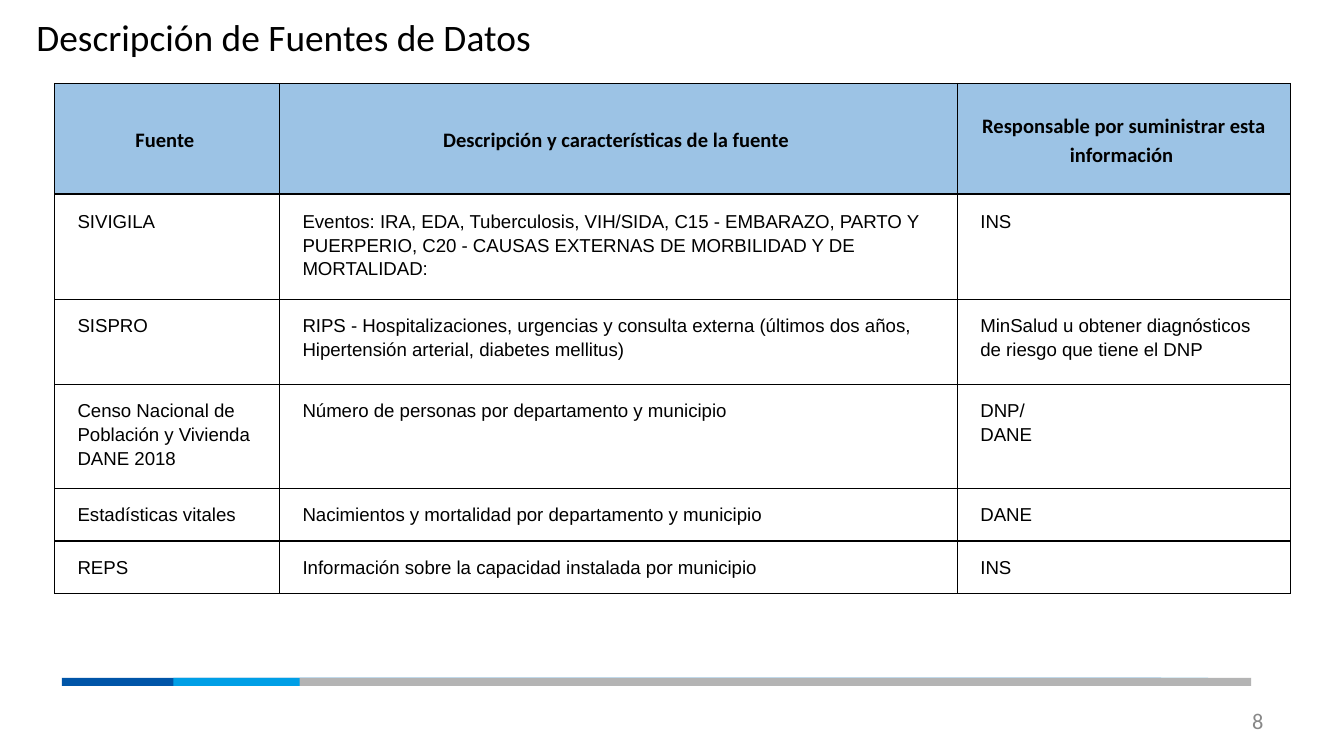
from pptx import Presentation
from pptx.dml.color import RGBColor
from pptx.enum.shapes import MSO_SHAPE
from pptx.enum.text import MSO_ANCHOR, MSO_AUTO_SIZE, PP_ALIGN
from pptx.oxml import parse_xml
from pptx.oxml.ns import nsdecls
from pptx.util import Inches, Pt

WIDTH = Inches(10)
HEIGHT = WIDTH * 9 // 16
COLORS = {
    "text": "000000", "border": "000000", "header": "9CC3E5", "number": "888888",
    "navy": "0055A8", "sky": "009FE6", "gray": "B4B4B4",
}
COLUMN_SHARES = (16.74, 50.44, 24.77)
HEADER = [("Fuente ", "Descripción y características de la fuente ",
           "Responsable por suministrar esta información ")]
SOURCES = [
    ("SIVIGILA",
     "Eventos: IRA, EDA, Tuberculosis, VIH/SIDA, C15 - EMBARAZO, PARTO Y PUERPERIO, "
     "C20 - CAUSAS EXTERNAS DE MORBILIDAD Y DE MORTALIDAD:",
     "INS"),
    ("SISPRO",
     "RIPS - Hospitalizaciones, urgencias y consulta externa (últimos dos años, "
     "Hipertensión arterial, diabetes mellitus)",
     "MinSalud u obtener diagnósticos de riesgo que tiene el DNP"),
    ("Censo Nacional de Población y Vivienda DANE 2018",
     "Número de personas por departamento y municipio", "DNP/\nDANE"),
    ("Estadísticas vitales", "Nacimientos y mortalidad por departamento y municipio", "DANE"),
    ("REPS", "Información sobre la capacidad instalada por municipio", "INS"),
]


def across(percent):
    return round(WIDTH * percent / 100)


def down(percent):
    return round(HEIGHT * percent / 100)


def to_slide(box):
    """Turn left, top, width, height in percent of the slide into lengths."""
    left, top, width, height = box
    return across(left), down(top), across(width), down(height)


def style_text(frame, size, font, color="text", bold=False, align=PP_ALIGN.LEFT):
    for paragraph in frame.paragraphs:
        paragraph.alignment = align
        for run in paragraph.runs:
            run.font.size = Pt(size)
            run.font.name = font
            run.font.bold = bold
            run.font.color.rgb = RGBColor.from_string(COLORS[color])


def add_title(slide, box, text):
    title = slide.shapes.title
    title.left, title.top, title.width, title.height = to_slide(box)
    frame = title.text_frame
    frame.text = text
    frame.auto_size = MSO_AUTO_SIZE.NONE
    frame.vertical_anchor = MSO_ANCHOR.MIDDLE
    style_text(frame, 20, "Calibri")


def add_borders(cell):
    """Draw the four edges; they must come before the fill in the cell."""
    properties = cell._tc.get_or_add_tcPr()
    for index, edge in enumerate(("lnL", "lnR", "lnT", "lnB")):
        properties.insert(index, parse_xml(
            f'<a:{edge} {nsdecls("a")} w="{Pt(0.75)}"><a:solidFill>'
            f'<a:srgbClr val="{COLORS["border"]}"/></a:solidFill></a:{edge}>'))


def fill_cell(cell, text, is_header):
    frame = cell.text_frame
    frame.text = text
    cell.margin_left = cell.margin_right = Inches(0.1)
    cell.margin_top = cell.margin_bottom = Inches(0.1)
    if is_header:
        cell.vertical_anchor = MSO_ANCHOR.MIDDLE
        cell.fill.solid()
        cell.fill.fore_color.rgb = RGBColor.from_string(COLORS["header"])
        style_text(frame, 11, "Calibri", bold=True, align=PP_ALIGN.CENTER)
    else:
        cell.vertical_anchor = MSO_ANCHOR.TOP
        cell.fill.background()
        style_text(frame, 10, "Arial")
    for paragraph in frame.paragraphs:
        paragraph.line_spacing = 1.15
        properties = paragraph._p.get_or_add_pPr()
        for side in ("marL", "marR"):
            properties.set(side, str(Inches(0.07)))
        properties.set("indent", "0")
    add_borders(cell)


def add_source_table(slide, box, row_shares, rows, is_header=False):
    holder = slide.shapes.add_table(len(rows), len(COLUMN_SHARES), *to_slide(box))
    table = holder.table
    table.first_row = is_header
    table.horz_banding = False
    for column, share in zip(table.columns, COLUMN_SHARES):
        column.width = across(share)
    for row, share, texts in zip(table.rows, row_shares, rows):
        row.height = down(share)
        for cell, text in zip(row.cells, texts):
            fill_cell(cell, text, is_header)
    # Setting row heights resizes the frame, so its own height comes last.
    holder.height = down(box[3])


def add_footer_bar(slide, top, height):
    """Stack three overlapping strips, each starting further right."""
    for left, width, color in ((4.6, 81.8, "navy"), (12.9, 77, "sky"), (22.3, 70.8, "gray")):
        strip = slide.shapes.add_shape(MSO_SHAPE.RECTANGLE, *to_slide((left, top, width, height)))
        strip.shadow.inherit = False
        strip.fill.solid()
        strip.fill.fore_color.rgb = RGBColor.from_string(COLORS[color])
        strip.line.fill.background()


def add_page_number(slide, box, number):
    frame = slide.shapes.add_textbox(*to_slide(box)).text_frame
    frame.word_wrap = True
    frame.vertical_anchor = MSO_ANCHOR.MIDDLE
    frame.text = number
    style_text(frame, 12, "Calibri", "number", align=PP_ALIGN.RIGHT)


def main():
    deck = Presentation()
    deck.slide_width, deck.slide_height = WIDTH, HEIGHT
    slide = deck.slides.add_slide(deck.slide_layouts.get_by_name("Title Only"))
    table_left, table_width = 4.07, sum(COLUMN_SHARES)
    add_page_number(slide, (71.7, 92.67, 23.3, 5.33), "8")
    add_footer_bar(slide, 89.67, 1.07)
    add_title(slide, (1.7, 0, 90, 9.78), "Descripción de Fuentes de Datos")
    add_source_table(slide, (table_left, 11.04, table_width, 14.6), (14.6,), HEADER, is_header=True)
    add_source_table(slide, (table_left, 25.75, table_width, 51.91),
                     (13.87, 11.2, 12.27, 6.22, 5.69), SOURCES)
    deck.save("out.pptx")


if __name__ == "__main__":
    main()
